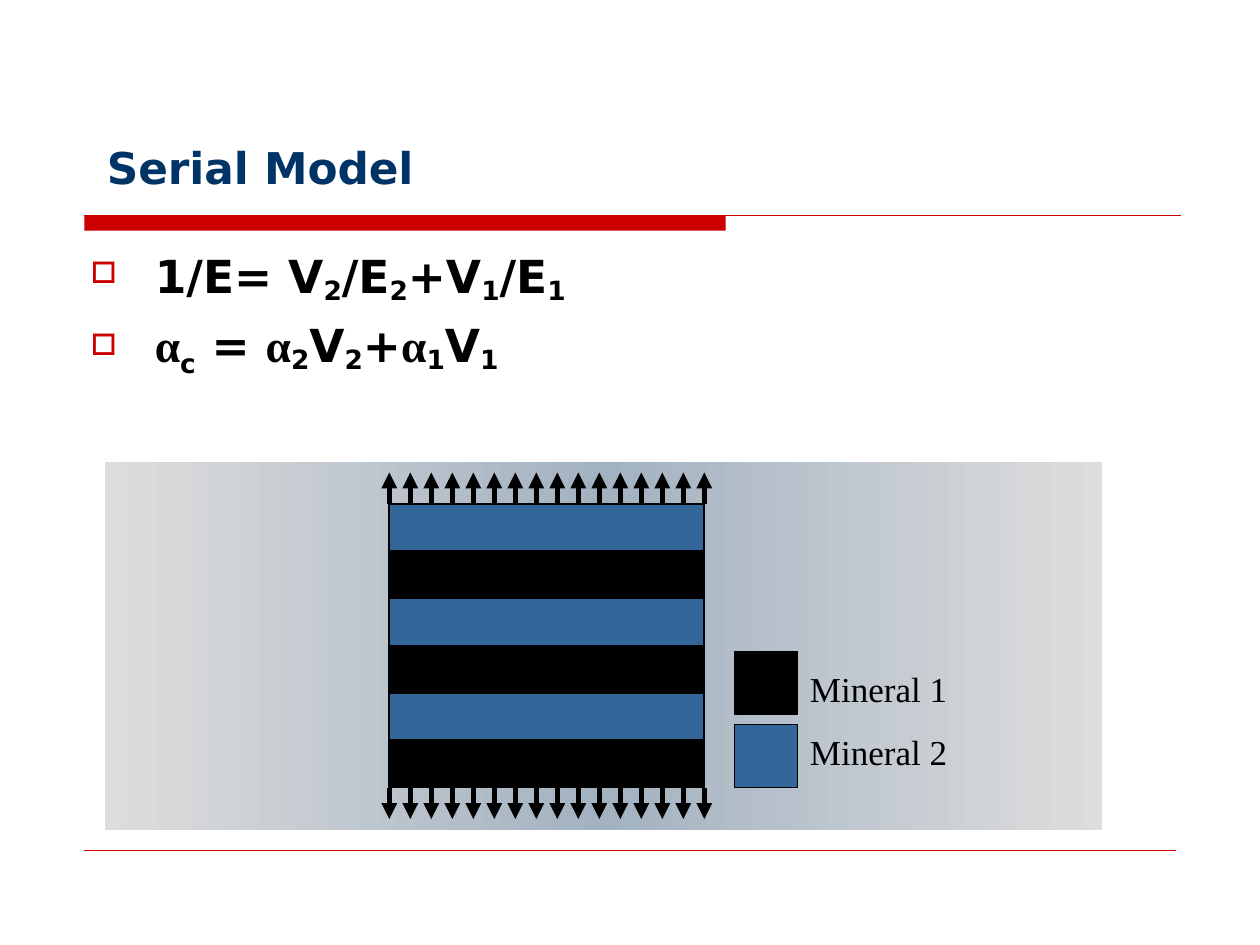
from copy import deepcopy
from dataclasses import dataclass

from lxml import etree
from pptx import Presentation
from pptx import util as u
from pptx.dml.color import RGBColor
from pptx.enum import shapes, text
from pptx.oxml.ns import qn


@dataclass(frozen=True)
class Theme:
    red: str = "CC0000"
    navy: str = "003366"
    black: str = "000000"
    blue: str = "336699"
    pale: str = "DDDDDD"
    steel: str = "A3B2C1"
    sans: str = "DejaVu Sans"
    serif: str = "Times New Roman"
    title_size: float = 25
    formula_size: float = 26
    legend_size: float = 20


class SlideBuilder:
    def __init__(self, slide, theme):
        self.slide = slide
        self.theme = theme

    def rectangle(self, left, top, width, height, fill, line=None):
        box = self.slide.shapes.add_shape(
            shapes.MSO_SHAPE.RECTANGLE,
            u.Inches(left), u.Inches(top), u.Inches(width), u.Inches(height))
        box.shadow.inherit = False
        box.fill.solid()
        box.fill.fore_color.rgb = RGBColor.from_string(fill)
        if line:
            box.line.color.rgb = RGBColor.from_string(line)
            box.line.width = u.Pt(1)
        else:
            box.line.fill.background()
        return box

    def gradient_panel(self, left, top, width, height, edge, middle):
        panel = self.rectangle(left, top, width, height, edge)
        panel.fill.gradient()
        panel.fill.gradient_angle = 0
        last = panel._element.spPr.findall(".//" + qn("a:gs"))[-1]
        last.addnext(deepcopy(last))
        stops = zip(panel.fill.gradient_stops, (0, 0.5, 1), (edge, middle, edge))
        for stop, position, color in stops:
            stop.position = position
            stop.color.rgb = RGBColor.from_string(color)

    def line(self, start, end, color, width, arrow=False):
        line = self.slide.shapes.add_connector(
            shapes.MSO_CONNECTOR.STRAIGHT,
            *(u.Inches(value) for value in (*start, *end)))
        line.line.color.rgb = RGBColor.from_string(color)
        line.line.width = u.Pt(width)
        if arrow:
            etree.SubElement(line.line._get_or_add_ln(), qn("a:tailEnd"), type="triangle")
        etree.SubElement(line._element.spPr, qn("a:effectLst"))

    def text_box(self, left, top, width, height, anchor=text.MSO_ANCHOR.TOP):
        box = self.slide.shapes.add_textbox(
            u.Inches(left), u.Inches(top), u.Inches(width), u.Inches(height))
        box.text_frame.word_wrap = True
        box.text_frame.vertical_anchor = anchor
        return box.text_frame

    def span(self, para, words, size, color, font, bold=False, baseline=0):
        span = para.add_run()
        span.text = words
        span.font.size = u.Pt(size)
        span.font.name = font
        span.font.bold = bold
        span.font.color.rgb = RGBColor.from_string(color)
        if baseline:
            span.font._element.set("baseline", str(baseline * 1000))

    def bullet(self, para):
        properties = para._p.get_or_add_pPr()
        properties.set("marL", str(u.Inches(0.51)))
        properties.set("indent", str(-u.Inches(0.51)))
        color = etree.SubElement(properties, qn("a:buClr"))
        etree.SubElement(color, qn("a:srgbClr"), val=self.theme.red)
        etree.SubElement(properties, qn("a:buSzPct"), val="65000")
        etree.SubElement(properties, qn("a:buChar"), char="□")

    def formulas(self, frame, formulas):
        theme = self.theme
        for index, formula in enumerate(formulas):
            para = frame.add_paragraph() if index else frame.paragraphs[0]
            self.bullet(para)
            if index:
                para.space_before = u.Pt(6.5)
            for words, baseline in formula:
                font = theme.serif if words == "α" else theme.sans
                self.span(para, words, theme.formula_size, theme.black,
                          font, True, baseline)


def main():
    theme = Theme()
    deck = Presentation()
    deck.slide_width, deck.slide_height = u.Inches(10), u.Inches(7.5)
    page = SlideBuilder(deck.slides.add_slide(deck.slide_layouts[6]), theme)

    page.rectangle(0.67, 1.71, 5.09, 0.12, theme.red)
    page.line((0.67, 1.71), (9.37, 1.71), theme.red, 0.75)
    page.line((0.67, 6.75), (9.33, 6.75), theme.red, 0.25)
    page.gradient_panel(0.83, 3.67, 7.92, 2.92, theme.pale, theme.steel)

    title = page.text_box(0.75, 0.33, 8.67, 1.25, text.MSO_ANCHOR.BOTTOM)
    page.span(title.paragraphs[0], "Serial Model", theme.title_size,
              theme.navy, theme.sans, True)

    page.formulas(page.text_box(0.62, 1.92, 5.38, 1.25), [
        [("1/E= V", 0), ("2", -15), ("/E", 0), ("2", -15),
         ("+V", 0), ("1", -15), ("/E", 0), ("1", -15)],
        [("α", 0), ("c", -25), (" = ", 0), ("α", 0), ("2", -15), ("V", 0),
         ("2", -15), ("+", 0), ("α", 0), ("1", -15), ("V", 0), ("1", -15)],
    ])

    left, top, width, layers = 3.09, 4, 2.5, 6
    height = 2.25
    layer = height / layers
    page.rectangle(left, top, width, height, theme.black, theme.black)
    for index in range(1, layers):
        y = top + index * layer
        page.line((left + width, y), (left, y), theme.black, 1)
    for index in range(0, layers, 2):
        page.rectangle(left, top + index * layer, width, layer, theme.blue, theme.black)

    arrows, reach = 16, 0.25
    for edge, direction in ((top, -1), (top + height, 1)):
        for index in range(arrows):
            x = left + index * width / (arrows - 1)
            page.line((x, edge), (x, edge + direction * reach), theme.black, 3, True)

    legend = (("Mineral 1", theme.black, 5.17, 5.25),
              ("Mineral 2", theme.blue, 5.75, 5.75))
    for label, color, key_top, label_top in legend:
        page.rectangle(5.83, key_top, 0.5, 0.5, color, theme.black)
        frame = page.text_box(6.33, label_top, 1.42, 0.44)
        page.span(frame.paragraphs[0], label, theme.legend_size, theme.black, theme.serif)

    deck.save("out.pptx")


if __name__ == "__main__":
    main()
